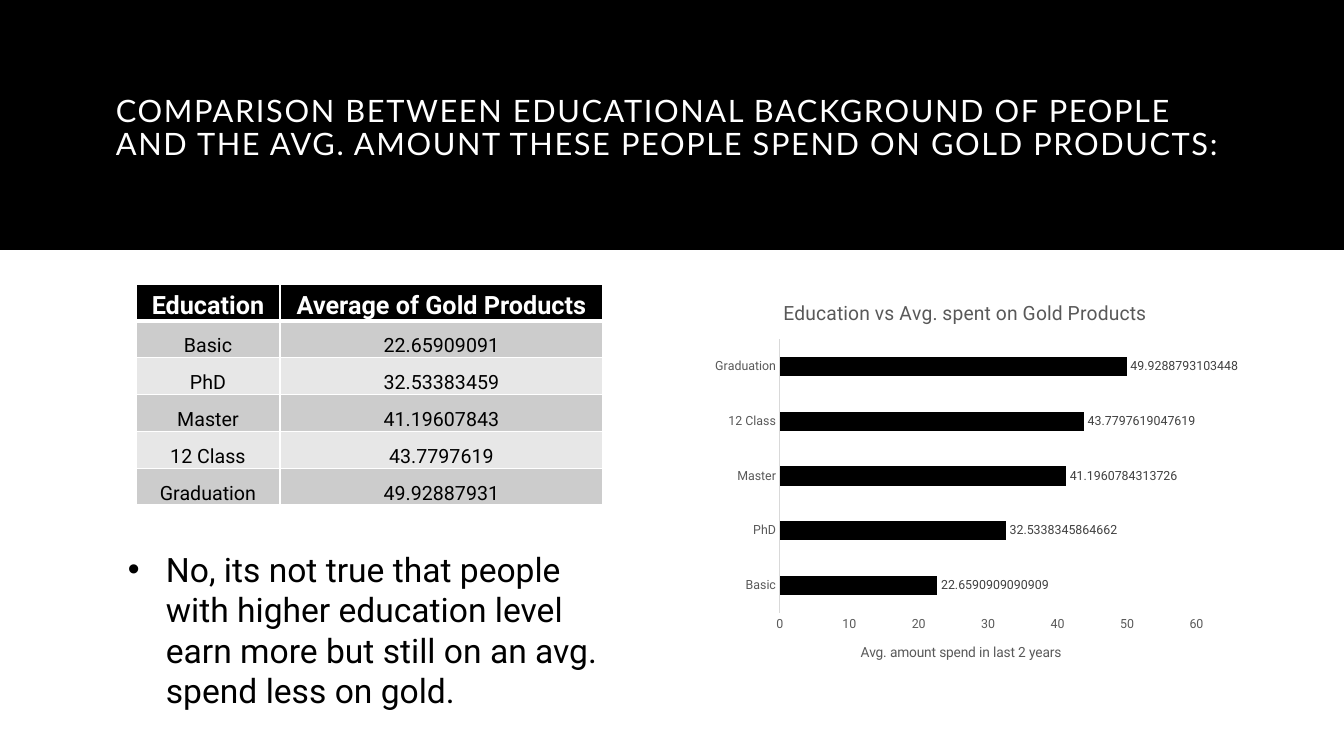
from lxml.etree import SubElement
from pptx import Presentation
from pptx.chart.data import CategoryChartData
from pptx.dml.color import RGBColor
from pptx.enum.chart import XL_CHART_TYPE, XL_LABEL_POSITION, XL_TICK_MARK
from pptx.enum.shapes import MSO_SHAPE
from pptx.enum.text import MSO_ANCHOR, MSO_AUTO_SIZE, PP_ALIGN
from pptx.oxml.ns import qn
from pptx.util import Emu, Pt

COLORS = {
    "black": "000000",
    "white": "FFFFFF",
    "band_dark": "CCCCCC",
    "band_light": "E7E7E7",
    "chart_text": "595959",
    "label": "404040",
    "axis": "D9D9D9",
}
SPENDING = {
    "Basic": "22.6590909090909",
    "PhD": "32.5338345864662",
    "Master": "41.1960784313726",
    "12 Class": "43.7797619047619",
    "Graduation": "49.9288793103448",
}


def px(n):
    return Emu(round(n * 914400 / 100.8))


def rgb(name):
    return RGBColor.from_string(COLORS[name])


def place(parent, **fractions):
    layout = parent.find(qn("c:layout"))
    if layout is None:
        layout = SubElement(parent, qn("c:layout"))
        parent.insert(0, layout)
    manual = SubElement(layout, qn("c:manualLayout"))
    if "w" in fractions:
        SubElement(manual, qn("c:layoutTarget")).set("val", "inner")
    for axis in "xy":
        SubElement(manual, qn(f"c:{axis}Mode")).set("val", "edge")
    for name, value in fractions.items():
        SubElement(manual, qn(f"c:{name}")).set("val", str(value))


class SlideBuilder:
    def __init__(self, slide, font="Roboto"):
        self.slide = slide
        self.font = font

    def style(self, font, size, color, bold=False, name=None):
        font.name = name or self.font
        font.size = Pt(size)
        font.bold = bold
        font.color.rgb = rgb(color)

    def chart_style(self, font, size, color):
        self.style(font, size, color)
        font._element.set("kern", "1200")

    def band(self, x, y, w, h, color):
        sp = self.slide.shapes.add_shape(MSO_SHAPE.RECTANGLE, px(x), px(y), px(w), px(h))
        sp.shadow.inherit = False
        sp.fill.solid()
        sp.fill.fore_color.rgb = rgb(color)
        sp.line.fill.background()

    def text(self, x, y, w, h, text, size, color, name=None):
        sp = self.slide.shapes.add_textbox(px(x), px(y), px(w), px(h))
        tf = sp.text_frame
        tf.text = text
        tf.word_wrap = True
        self.style(tf.paragraphs[0].runs[0].font, size, color, name=name)
        return tf

    def title(self, x, y, w, h, text):
        tf = self.text(x, y, w, h, text, 22, "white", "Lato")
        tf.vertical_anchor = MSO_ANCHOR.MIDDLE
        p = tf.paragraphs[0]
        p.line_spacing = 0.9
        p.runs[0].font._element.set("spc", "120")

    def bullet(self, x, y, w, h, text):
        tf = self.text(x, y, w, h, text, 24, "black")
        tf.auto_size = MSO_AUTO_SIZE.SHAPE_TO_FIT_TEXT
        pPr = tf.paragraphs[0]._p.get_or_add_pPr()
        pPr.set("marL", str(px(38)))
        pPr.set("indent", str(-px(38)))
        SubElement(pPr, qn("a:buFont")).set("typeface", "Arial")
        SubElement(pPr, qn("a:buChar")).set("char", "•")

    def borders(self, cell, **widths):
        tcPr = cell._tc.get_or_add_tcPr()
        for side in "LRTB":
            ln = SubElement(tcPr, qn(f"a:ln{side}"), w=str(Pt(widths.get(side, 1))))
            fill = SubElement(ln, qn("a:solidFill"))
            SubElement(fill, qn("a:srgbClr")).set("val", COLORS["white"])

    def table(self, x, y, widths, h, rows):
        shape = self.slide.shapes.add_table(
            len(rows), len(widths), px(x), px(y), px(sum(widths)), px(h))
        table = shape.table
        for column, width in zip(table.columns, widths):
            column.width = px(width)
        for i, row in enumerate(rows):
            header = i == 0
            fill = "black" if header else ("band_light", "band_dark")[i % 2]
            thick = {0: {"B": 3}, 1: {"T": 3}}.get(i, {})
            for j, text in enumerate(row):
                cell = table.cell(i, j)
                self.borders(cell, **thick)
                cell.fill.solid()
                cell.fill.fore_color.rgb = rgb(fill)
                cell.margin_left = cell.margin_right = cell.margin_top = px(2)
                cell.margin_bottom = 0
                cell.vertical_anchor = MSO_ANCHOR.BOTTOM
                cell.text = text
                p = cell.text_frame.paragraphs[0]
                p.alignment = PP_ALIGN.CENTER
                self.style(p.runs[0].font, 18 if header else 14,
                           "white" if header else "black", header)

    def chart_title(self, title, text, size, x, y):
        p = title.text_frame.paragraphs[0]
        p.text = text
        self.chart_style(p.runs[0].font, size, "chart_text")
        place(title._element, x=x, y=y)

    def bar_chart(self, x, y, w, h, values, title, axis_title):
        data = CategoryChartData()
        data.categories = list(values)
        data.add_series("Series 1", [round(float(v), 6) for v in values.values()])
        chart = self.slide.shapes.add_chart(
            XL_CHART_TYPE.BAR_CLUSTERED, px(x), px(y), px(w), px(h), data).chart
        self.chart_style(chart.font, 10, "black")
        chart.has_legend = False
        category, value = chart.category_axis, chart.value_axis
        for axis in (category, value):
            axis.has_major_gridlines = False
            axis.major_tick_mark = axis.minor_tick_mark = XL_TICK_MARK.NONE
            self.chart_style(axis.tick_labels.font, 9, "chart_text")
        category.format.line.color.rgb = rgb("axis")
        category.format.line.width = Pt(0.75)
        value.format.line.fill.background()
        value.minimum_scale, value.maximum_scale, value.major_unit = 0, 60, 10

        self.chart_title(chart.chart_title, title, 14, 0.14, 0.03)
        self.chart_title(value.axis_title, axis_title, 10, 0.29, 0.9)

        plot = chart.plots[0]
        plot.gap_width = 182
        plot.vary_by_categories = False
        bars = plot.series[0]
        bars.format.fill.solid()
        bars.format.fill.fore_color.rgb = rgb("black")
        labels = bars.data_labels
        labels.show_value = True
        labels.position = XL_LABEL_POSITION.OUTSIDE_END
        self.chart_style(labels.font, 9, "label")
        for i, text in enumerate(values.values()):
            label = bars.points[i].data_label
            label.position = XL_LABEL_POSITION.OUTSIDE_END
            p = label.text_frame.paragraphs[0]
            p.text = text
            self.chart_style(p.runs[0].font, 9, "label")
        place(plot._element.getparent(), x=0.14, y=0.14, w=0.8, h=0.69)


def main():
    prs = Presentation()
    prs.slide_width, prs.slide_height = px(1344), px(756)
    s = SlideBuilder(prs.slides.add_slide(prs.slide_layouts[6]))
    s.band(0, 0, 1344, 250, "black")
    s.title(106, 35, 1132, 188,
            "COMPARISON BETWEEN EDUCATIONAL BACKGROUND OF PEOPLE AND THE AVG. "
            "AMOUNT THESE PEOPLE SPEND ON GOLD PRODUCTS:")
    rows = [(name, f"{float(amount):.10g}") for name, amount in SPENDING.items()]
    s.table(136, 284, (144, 323), 221, [("Education", "Average of Gold Products"), *rows])
    s.bar_chart(707, 284, 531, 396, SPENDING,
                "Education vs Avg. spent on Gold Products",
                "Avg. amount spend in last 2 years")
    s.bullet(118, 544, 498, 204,
             "No, its not true that people with higher education level earn more "
             "but still on an avg. spend less on gold.")
    prs.save("out.pptx")


if __name__ == "__main__":
    main()
